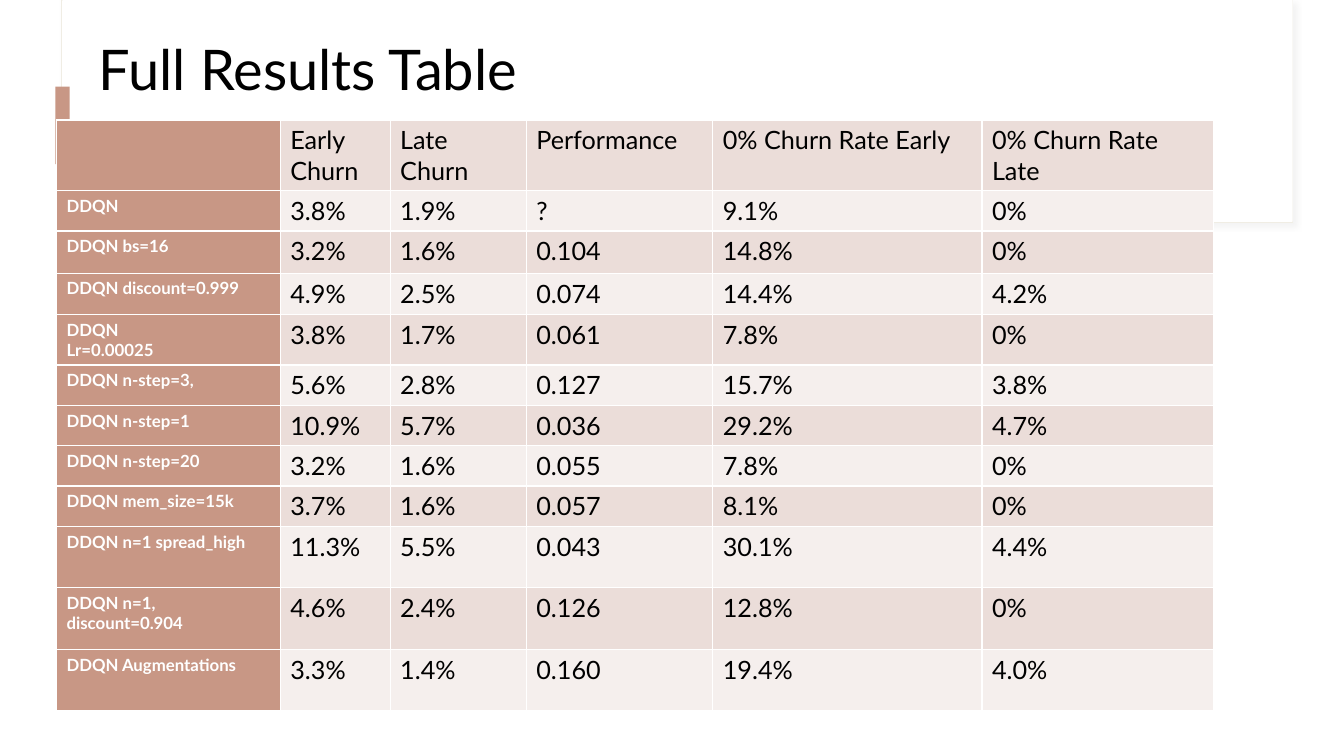
from lxml import etree
from pptx import Presentation
from pptx.dml.color import RGBColor
from pptx.enum.shapes import MSO_SHAPE
from pptx.enum.text import MSO_ANCHOR, MSO_AUTO_SIZE, PP_ALIGN
from pptx.oxml import parse_xml
from pptx.oxml.ns import qn
from pptx.util import Inches, Pt

RECT = MSO_SHAPE.RECTANGLE
MIDDLE = MSO_ANCHOR.MIDDLE
NO_FIT = MSO_AUTO_SIZE.NONE
LEFT = PP_ALIGN.LEFT
NS = "http://schemas.openxmlformats.org/drawingml/2006/main"

HEADERS = ["", "Early Churn", "Late Churn", "Performance",
           "0% Churn Rate Early", "0% Churn Rate Late"]
RESULTS = [
    ["DDQN", "3.8%", "1.9%", "?", "9.1%", "0%"],
    ["DDQN bs=16", "3.2%", "1.6%", "0.104", "14.8%", "0%"],
    ["DDQN discount=0.999", "4.9%", "2.5%", "0.074", "14.4%", "4.2%"],
    ["DDQN\nLr=0.00025", "3.8%", "1.7%", "0.061", "7.8%", "0%"],
    ["DDQN n-step=3,", "5.6%", "2.8%", "0.127", "15.7%", "3.8%"],
    ["DDQN n-step=1", "10.9%", "5.7%", "0.036", "29.2%", "4.7%"],
    ["DDQN n-step=20", "3.2%", "1.6%", "0.055", "7.8%", "0%"],
    ["DDQN mem_size=15k", "3.7%", "1.6%", "0.057", "8.1%", "0%"],
    ["DDQN n=1 spread_high", "11.3%", "5.5%", "0.043", "30.1%", "4.4%"],
    ["DDQN n=1, discount=0.904", "4.6%", "2.4%", "0.126", "12.8%", "0%"],
    ["DDQN Augmentations", "3.3%", "1.4%", "0.160", "19.4%", "4.0%"],
]
COL_WIDTHS = [2.22, 1.09, 1.35, 1.85, 2.67, 2.3]
ROW_HEIGHTS = [0.7, 0.4, 0.42, 0.41, 0.5] + [0.4] * 4 + [0.61] * 3


def rgb(color):
    return RGBColor.from_string(color)


class SlideBuilder:
    font = "Lato"
    text = "000000"
    white = "FFFFFF"
    accent = "C89785"
    bands = ["EBDDD9", "F5EFED"]
    frame = "F0EDE4"
    shade = "D9D9D9"

    def __init__(self, s):
        self.s = s

    def run(self, p, text, size, color, bold=False):
        r = p.add_run()
        r.text = text
        r.font.name = self.font
        r.font.size = Pt(size)
        r.font.bold = bold
        r.font.color.rgb = rgb(color)

    def rect(self, x, y, w, h, fill, line=None, shadow=None):
        sp = self.s.shapes.add_shape(RECT, Inches(x), Inches(y), Inches(w), Inches(h))
        sp.fill.solid()
        sp.fill.fore_color.rgb = rgb(fill)
        if line:
            sp.line.color.rgb = rgb(line)
            sp.line.width = Pt(0.75)
        else:
            sp.line.fill.background()
        sp.shadow.inherit = False
        if shadow:
            effects = sp.element.spPr.find(qn("a:effectLst"))
            effects.append(parse_xml(
                f'<a:outerShdw xmlns:a="{NS}" blurRad="{Pt(4)}" dist="{Pt(3)}" '
                f'dir="2700000"><a:srgbClr val="{shadow}"><a:alpha val="30000"/>'
                '</a:srgbClr></a:outerShdw>'))

    def title(self, text, x, y, w, h):
        sp = self.s.shapes.title
        sp.left, sp.top, sp.width, sp.height = (Inches(v) for v in (x, y, w, h))
        sp.element.getparent().append(sp.element)
        tf = sp.text_frame
        tf.word_wrap = True
        tf.auto_size = NO_FIT
        tf.vertical_anchor = MIDDLE
        p = tf.paragraphs[0]
        p.alignment = LEFT
        p.line_spacing = 0.9
        self.run(p, text, 40, self.text)

    def borders(self, cell, color, width):
        tcPr = cell._tc.get_or_add_tcPr()
        for side in ("lnL", "lnR", "lnT", "lnB"):
            ln = etree.SubElement(tcPr, qn(f"a:{side}"), w=str(Pt(width)))
            fill = etree.SubElement(ln, qn("a:solidFill"))
            etree.SubElement(fill, qn("a:srgbClr"), val=color)

    def cell(self, cell, text, fill, size, color, bold):
        self.borders(cell, self.white, 1)
        cell.fill.solid()
        cell.fill.fore_color.rgb = rgb(fill)
        if not text:
            return
        tf = cell.text_frame
        for i, line in enumerate(text.split("\n")):
            p = tf.add_paragraph() if i else tf.paragraphs[0]
            self.run(p, line, size, color, bold)

    def table(self, x, y, widths, heights, rows):
        table = self.s.shapes.add_table(
            len(rows), len(widths), Inches(x), Inches(y),
            Inches(sum(widths)), Inches(sum(heights))).table
        for col, width in zip(table.columns, widths):
            col.width = Inches(width)
        for row, height in zip(table.rows, heights):
            row.height = Inches(height)
        for i, row in enumerate(rows):
            for j, text in enumerate(row):
                if j == 0:
                    style = self.accent, 12, self.white, True
                else:
                    style = self.bands[i % 2], 18, self.text, False
                self.cell(table.cell(i, j), text, *style)


def main():
    prs = Presentation()
    prs.slide_width, prs.slide_height = Inches(13.33), Inches(7.5)
    b = SlideBuilder(prs.slides.add_slide(prs.slide_layouts[5]))
    b.rect(0.61, 0, 12.21, 2.21, b.white, b.frame, b.shade)
    b.rect(0.62, 0, 12.2, 2.2, b.white)
    b.rect(0.55, 0.86, 0.14, 0.77, b.accent)
    b.title("Full Results Table", 0.88, 0.07, 11.12, 1.29)
    b.table(0.56, 1.19, COL_WIDTHS, ROW_HEIGHTS, [HEADERS] + RESULTS)
    prs.save("out.pptx")


if __name__ == "__main__":
    main()
